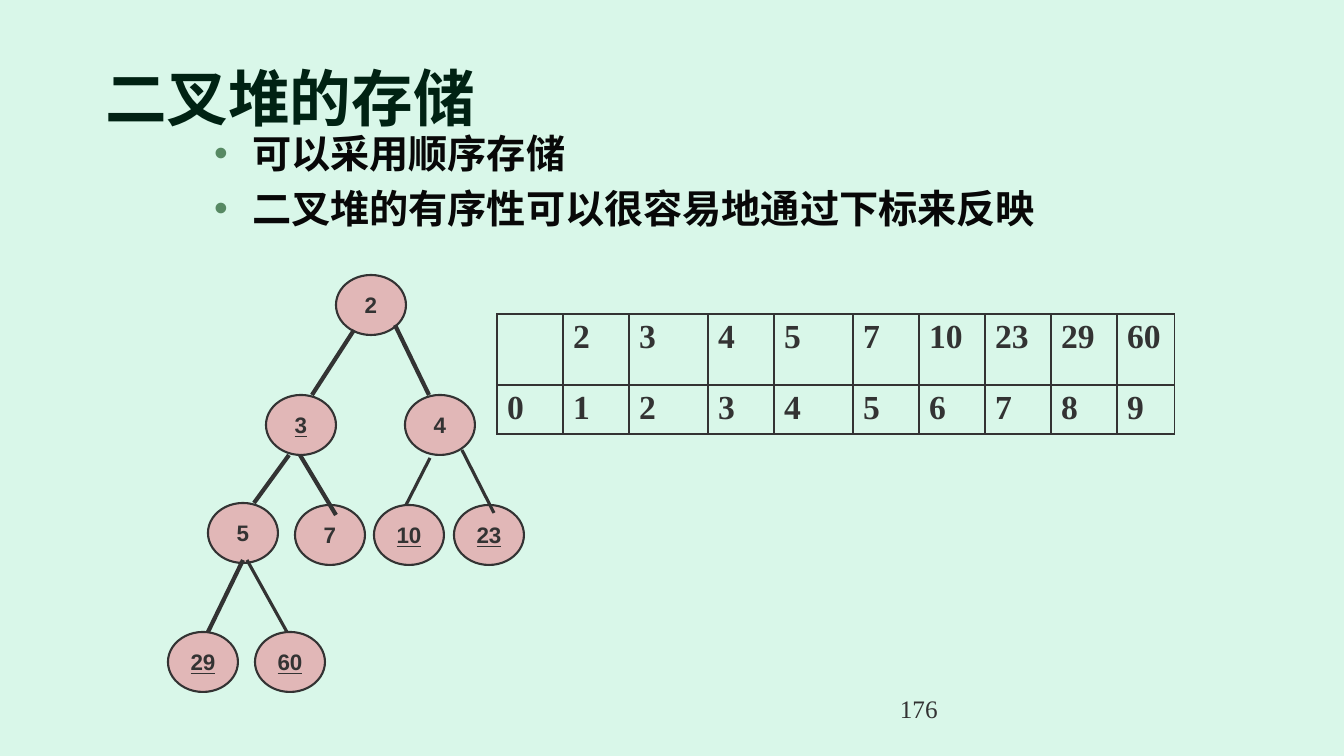
from lxml import etree
from pptx import Presentation
from pptx.dml.color import RGBColor
from pptx.enum.shapes import MSO_CONNECTOR, MSO_SHAPE
from pptx.enum.text import MSO_ANCHOR, MSO_AUTO_SIZE, PP_ALIGN
from pptx.oxml.ns import qn
from pptx.util import Emu, Pt

LINE, OVAL = MSO_CONNECTOR.STRAIGHT, MSO_SHAPE.OVAL
TOP, MIDDLE, BOTTOM = MSO_ANCHOR.TOP, MSO_ANCHOR.MIDDLE, MSO_ANCHOR.BOTTOM
LEFT, CENTER = PP_ALIGN.LEFT, PP_ALIGN.CENTER
NO_FIT = MSO_AUTO_SIZE.NONE

WIDTH, HEIGHT = 1344, 756
PX = 12192000 / WIDTH
COLORS = {"background": "D9F7E9", "title": "002213", "body": "080808",
          "bullet": "578963", "ink": "333333", "node": "E1B7B7"}
SERIF, SANS = "Times New Roman", "Arial"


def px(*lengths):
    return [Emu(round(length * PX)) for length in lengths]


def write(frame, text, size, color="ink", font=SERIF, bold=True, underline=None,
          align=LEFT, anchor=TOP, wrap=True, bullet=None, hanging=0, before=0):
    frame.word_wrap = wrap
    frame.auto_size = NO_FIT
    frame.vertical_anchor = anchor
    frame.text = text
    for index, paragraph in enumerate(frame.paragraphs):
        properties = paragraph._p.get_or_add_pPr()
        properties.set("marL", str(round(hanging * PX)))
        properties.set("indent", str(-round(hanging * PX)))
        paragraph.alignment = align
        paragraph.space_before = Pt(before if index else 0)
        if bullet:
            bullet_color = etree.SubElement(properties, qn("a:buClr"))
            etree.SubElement(bullet_color, qn("a:srgbClr"), val=COLORS["bullet"])
            etree.SubElement(properties, qn("a:buFont"), typeface=SANS)
            etree.SubElement(properties, qn("a:buChar"), char=bullet)
        for run in paragraph.runs:
            run.font.name, run.font.size = font, Pt(size)
            run.font.bold, run.font.underline = bold, underline
            run.font.color.rgb = RGBColor.from_string(COLORS[color])


presentation = Presentation()
presentation.slide_width, presentation.slide_height = px(WIDTH, HEIGHT)
slide = presentation.slides.add_slide(presentation.slide_layouts[1])
shapes = slide.shapes
slide.background.fill.solid()
slide.background.fill.fore_color.rgb = RGBColor.from_string(COLORS["background"])

# Title, bullet list and page number
title, body = shapes.title, slide.placeholders[1]
title.left, title.top, title.width, title.height = px(95, 13, 857, 126)
write(title.text_frame, "二叉堆的存储", 44, color="title", anchor=BOTTOM)
body.left, body.top, body.width, body.height = px(204, 124, 932, 120)
write(body.text_frame, "可以采用顺序存储\n二叉堆的有序性可以很容易地通过下标来反映", 28,
      color="body", bullet="•", hanging=38, before=5.6)
page_number = shapes.add_textbox(*px(890, 688, 210, 50))
write(page_number.text_frame, "176", 18, bold=False)

# Heap nodes: label, left, top, underlined
NODE_WIDTH, NODE_HEIGHT = 70, 60
nodes = [("2", 336, 275, False),
         ("3", 266, 395, True), ("4", 405, 395, False),
         ("5", 208, 503, False), ("7", 295, 505, False),
         ("10", 374, 505, True), ("23", 454, 505, True),
         ("29", 168, 632, True), ("60", 255, 632, True)]
for label, left, top, underline in nodes:
    node = shapes.add_shape(OVAL, *px(left, top, NODE_WIDTH, NODE_HEIGHT))
    node.shadow.inherit = False
    node.fill.solid()
    node.fill.fore_color.rgb = RGBColor.from_string(COLORS["node"])
    node.line.color.rgb = RGBColor.from_string(COLORS["ink"])
    node.line.width = Pt(1.5)
    write(node.text_frame, label, 16, font=SANS, underline=underline,
          align=CENTER, anchor=MIDDLE, wrap=False)

# Tree edges: start, end, line width
edges = [(354, 330, 312, 395, 3), (395, 325, 429, 395, 3),
         (289, 455, 254, 503, 3), (300, 455, 336, 515, 3),
         (430, 458, 406, 505, 2.25), (462, 450, 494, 513, 2.25),
         (243, 560, 208, 632, 3), (247, 560, 287, 632, 2.25)]
for *ends, weight in edges:
    edge = shapes.add_connector(LINE, *px(*ends))
    edge.line.color.rgb = RGBColor.from_string(COLORS["ink"])
    edge.line.width = Pt(weight)
    etree.SubElement(edge._element.spPr, qn("a:effectLst"))

# Array table: values above their indexes
heap_values = ["", "2", "3", "4", "5", "7", "10", "23", "29", "60"]
indexes = [str(index) for index in range(len(heap_values))]
column_widths = [66, 66, 79, 66, 79, 66, 66, 66, 66, 58]
row_heights = [71, 49]
table = shapes.add_table(2, len(indexes), *px(497, 314, sum(column_widths),
                                              sum(row_heights))).table
table.first_row = table.horz_banding = False
for column, width in zip(table.columns, px(*column_widths)):
    column.width = width
for row, height, labels in zip(table.rows, px(*row_heights), [heap_values, indexes]):
    row.height = height
    for cell, label in zip(row.cells, labels):
        write(cell.text_frame, label, 24, hanging=38)
        properties = cell._tc.get_or_add_tcPr()
        for side in ("a:lnL", "a:lnR", "a:lnT", "a:lnB"):
            border = etree.SubElement(properties, qn(side), w=str(Pt(1)))
            border_fill = etree.SubElement(border, qn("a:solidFill"))
            etree.SubElement(border_fill, qn("a:srgbClr"), val=COLORS["ink"])
        cell.fill.background()

presentation.save("out.pptx")
